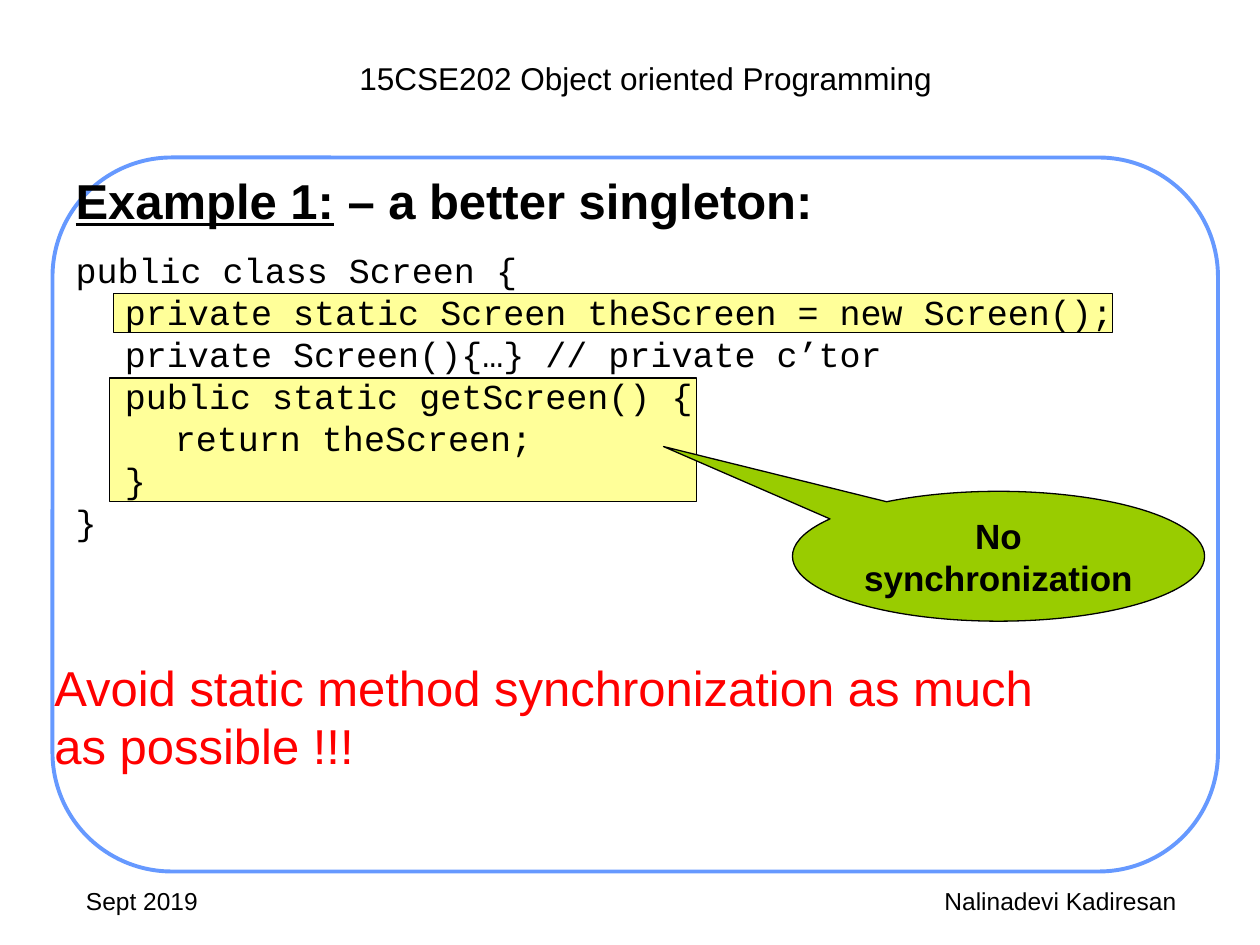
from dataclasses import dataclass

from lxml import etree
from pptx import Presentation
from pptx.dml.color import RGBColor
from pptx.enum import shapes, text
from pptx.oxml import ns
from pptx.util import Pt


@dataclass(frozen=True)
class Theme:
    sans: str = "Arial"
    mono: str = "Courier New"
    ink: str = "000000"
    paper: str = "FFFFFF"
    frame: str = "6699FF"
    mark: str = "FFFF99"
    call: str = "99CC00"
    alert: str = "FF0000"
    head: int = 28
    code: int = 20
    course: int = 18
    foot: int = 14
    lead: float = 1.2


THEME = Theme()
KIND = shapes.MSO_SHAPE
ALIGN = text.PP_ALIGN
TABS = (28.2, 56.7)

CODE = (
    "public class Screen {",
    "\tprivate static Screen theScreen = new Screen();",
    "\tprivate Screen(){…} // private c’tor",
    "\tpublic static getScreen() {",
    "\t\treturn theScreen;",
    "\t}",
    "}",
)


def place(shape, box):
    shape.left, shape.top, shape.width, shape.height = map(Pt, box)


def style(para, size, font=THEME.sans, color=THEME.ink, bold=False, align=ALIGN.LEFT):
    para.alignment = align
    para.line_spacing = Pt(size * THEME.lead)
    para.font.name = font
    para.font.size = Pt(size)
    para.font.bold = bold
    para.font.color.rgb = RGBColor.from_string(color)


def set_frame(frame, pad=(7.2, 3.6), anchor=text.MSO_ANCHOR.TOP):
    frame.word_wrap = True
    frame.auto_size = text.MSO_AUTO_SIZE.NONE
    frame.vertical_anchor = anchor
    frame.margin_left = frame.margin_right = Pt(pad[0])
    frame.margin_top = frame.margin_bottom = Pt(pad[1])


def add_tabs(para):
    stops = etree.SubElement(para._p.get_or_add_pPr(), ns.qn("a:tabLst"))
    for stop in TABS:
        etree.SubElement(stops, ns.qn("a:tab"), pos=str(Pt(stop)), algn="l")


def add_text(slide, box, words, size, **look):
    frame = slide.shapes.add_textbox(*map(Pt, box)).text_frame
    set_frame(frame)
    para = frame.paragraphs[0]
    para.text = words
    style(para, size, **look)


def add_form(slide, kind, box, fill, line=THEME.ink, width=0.75):
    shape = slide.shapes.add_shape(kind, *map(Pt, box))
    shape.shadow.inherit = False
    shape.fill.solid()
    shape.fill.fore_color.rgb = RGBColor.from_string(fill)
    shape.line.color.rgb = RGBColor.from_string(line)
    shape.line.width = Pt(width)
    return shape


def add_panel(slide, box):
    panel = add_form(slide, KIND.ROUNDED_RECTANGLE, box, THEME.paper, THEME.frame, 2.25)
    panel.adjustments[0] = 0.167


def add_title(slide, box):
    title = slide.shapes.title
    # Bring the title in front of the panel
    title.element.getparent().append(title.element)
    place(title, box)
    set_frame(title.text_frame)
    para = title.text_frame.paragraphs[0]
    for words, under in (("Example 1:", True), (" – a better singleton:", False)):
        run = para.add_run()
        run.text = words
        run.font.underline = under
    style(para, THEME.head, bold=True)
    para.space_before = Pt(17.5)


def add_code(slide, box):
    left, top, _, _ = box
    # Highlights behind the field and the getter
    for x, y, wide, high in ((21.6, 26, 571, 22.3), (19.4, 74.2, 335.5, 70.5)):
        add_form(slide, KIND.RECTANGLE, (left + x, top + y, wide, high), THEME.mark)
    frame = slide.shapes.add_textbox(*map(Pt, box)).text_frame
    set_frame(frame, pad=(0, 0))
    for row, line in enumerate(CODE):
        para = frame.add_paragraph() if row else frame.paragraphs[0]
        add_tabs(para)
        para.text = line
        style(para, THEME.code, font=THEME.mono)


def add_call(slide, box):
    call = add_form(slide, KIND.OVAL_CALLOUT, box, THEME.call)
    call.adjustments[0] = -0.813
    call.adjustments[1] = -0.845
    set_frame(call.text_frame, pad=(0, 0), anchor=text.MSO_ANCHOR.MIDDLE)
    para = call.text_frame.paragraphs[0]
    para.text = "No synchronization"
    style(para, THEME.code, bold=True, align=ALIGN.CENTER)


def add_foot(slide, box):
    left, top, wide, high = box
    add_text(slide, (left, top, 168, high), "Sept 2019", THEME.foot)
    add_text(slide, (left + wide - 228, top, 228, high), "Nalinadevi Kadiresan",
             THEME.foot, align=ALIGN.CENTER)


def main():
    deck = Presentation()
    deck.slide_width, deck.slide_height = Pt(720), Pt(540)
    slide = deck.slides.add_slide(deck.slide_layouts[5])

    # Panel and course line
    add_panel(slide, (30, 90, 666, 408))
    add_text(slide, (102, 30, 534, 29), "15CSE202 Object oriented Programming",
             THEME.course, align=ALIGN.CENTER)

    # Code sample with its remark
    add_code(slide, (43.2, 141.8, 614, 168))
    add_title(slide, (36, 93.6, 648, 37.5))
    add_call(slide, (452.9, 280.8, 235.5, 74.2))

    # Advice and footer
    add_text(slide, (24, 372, 594, 75),
             "Avoid static method synchronization as much as possible !!!",
             THEME.head, color=THEME.alert)
    add_foot(slide, (42, 502.5, 678, 37.5))

    deck.save("out.pptx")


if __name__ == "__main__":
    main()
